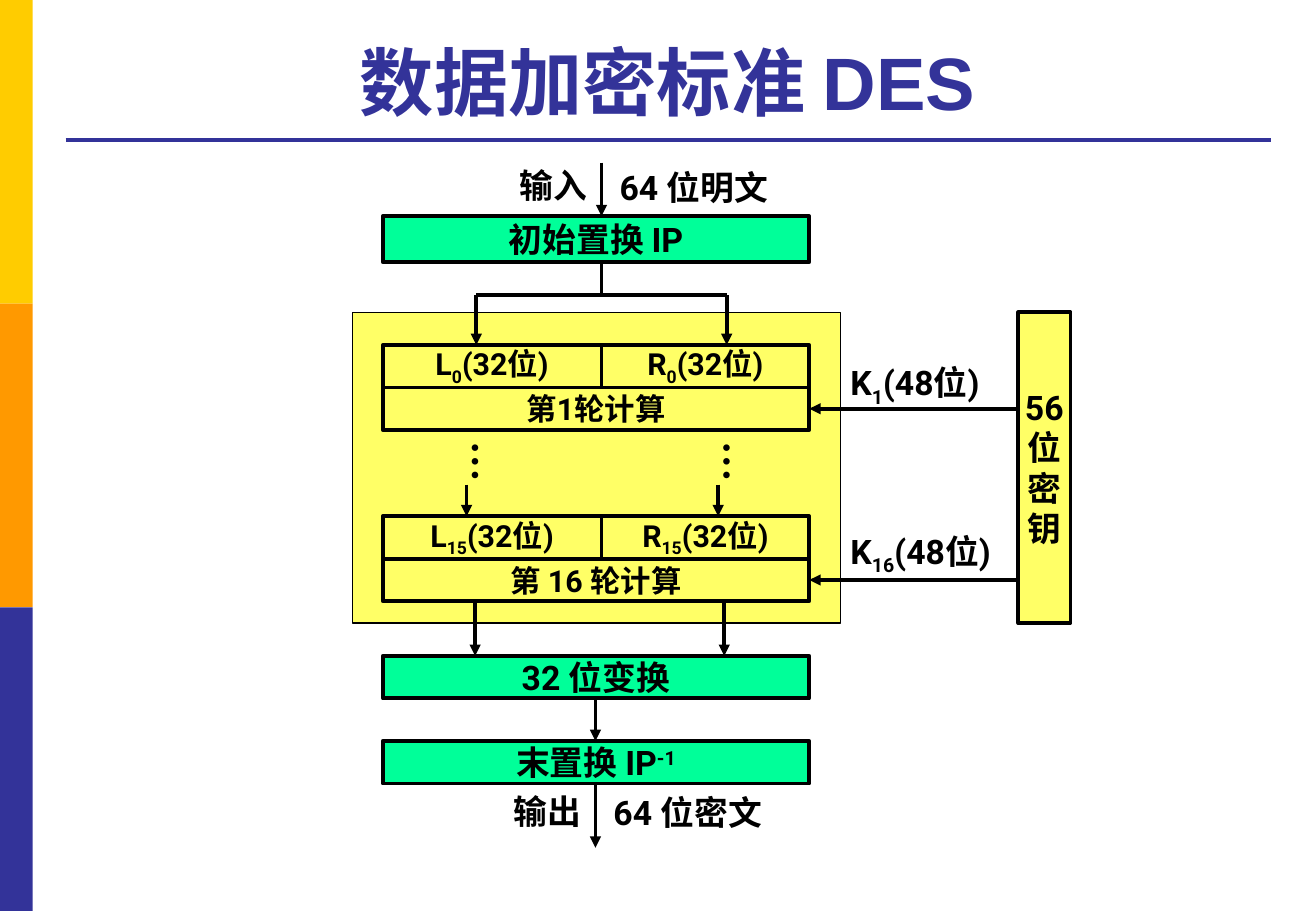
from lxml.etree import SubElement
from pptx import Presentation
from pptx.dml.color import RGBColor
from pptx.enum.shapes import MSO_CONNECTOR as CONNECTOR, MSO_SHAPE as SHAPE
from pptx.enum.text import MSO_ANCHOR as ANCHOR, MSO_AUTO_SIZE as AUTO, PP_ALIGN as ALIGN
from pptx.oxml.ns import qn
from pptx.util import Inches, Pt

COLORS = {
    "gold": "FFCC00",
    "orange": "FF9900",
    "navy": "333399",
    "yellow": "FFFF66",
    "green": "00FF99",
    "black": "000000",
}
SUB, SUPER = -25000, 30000
LEFT, SPLIT, RIGHT = 3.15, 4.95, 6.66
ROW = 0.35


def rgb(name):
    return RGBColor.from_string(COLORS[name])


def place(item, left, top, width, height):
    box = {"left": left, "top": top, "width": width, "height": height}
    for side, value in box.items():
        setattr(item, side, Inches(value))


def write(frame, paragraphs, size, align, font="Roboto", color="black"):
    style = {"size": Pt(size), "name": font, "bold": True}
    for index, pieces in enumerate(paragraphs):
        paragraph = frame.add_paragraph() if index else frame.paragraphs[0]
        paragraph.alignment = align
        for text, baseline in pieces:
            run = paragraph.add_run()
            run.text = text
            for attribute, value in style.items():
                setattr(run.font, attribute, value)
            run.font.color.rgb = rgb(color)
            if baseline:
                run._r.get_or_add_rPr().set("baseline", str(baseline))


def block(slide, at, fill=None, line=2.25, paragraphs=(), size=20):
    rect = slide.shapes.add_shape(SHAPE.RECTANGLE, *map(Inches, at))
    rect.shadow.inherit = False
    if fill:
        rect.fill.solid()
        rect.fill.fore_color.rgb = rgb(fill)
    else:
        rect.fill.background()
    if line:
        rect.line.width = Pt(line)
        rect.line.color.rgb = rgb("black")
    else:
        rect.line.fill.background()
    if paragraphs:
        frame = rect.text_frame
        frame.word_wrap = False
        frame.vertical_anchor = ANCHOR.MIDDLE
        write(frame, paragraphs, size, ALIGN.CENTER)


def label(slide, at, pieces):
    frame = slide.shapes.add_textbox(*map(Inches, at)).text_frame
    frame.word_wrap = False
    frame.auto_size = AUTO.SHAPE_TO_FIT_TEXT
    write(frame, [pieces], 20, ALIGN.LEFT)


def dots(slide, left):
    at = (left, 3.54, 0.62, 0.44)
    frame = slide.shapes.add_textbox(*map(Inches, at)).text_frame
    frame.word_wrap = True
    frame._txBody.bodyPr.set("vert", "eaVert")
    write(frame, [[("…", 0)]], 24, ALIGN.LEFT, "Times New Roman")
    frame.paragraphs[0].space_before = Pt(12)


def line(slide, start, end, arrow=True, color="black"):
    link = slide.shapes.add_connector(CONNECTOR.STRAIGHT, *map(Inches, start + end))
    link.line.width = Pt(2.25)
    link.line.color.rgb = rgb(color)
    if arrow:
        SubElement(link.line._get_or_add_ln(), qn("a:tailEnd"), type="triangle")
    SubElement(link._element.spPr, qn("a:effectLst"))


def heading(slide):
    for index, color in enumerate(("gold", "orange", "navy")):
        block(slide, (0, 2.5 * index, 0.27, 2.5), color, None)
    line(slide, (0.54, 1.15), (10.46, 1.15), False, "navy")
    title = slide.shapes.title
    place(title, 0.54, 0.21, 9.91, 0.87)
    title.text_frame.vertical_anchor = ANCHOR.BOTTOM
    title.text_frame.auto_size = AUTO.NONE
    write(title.text_frame, [[("数据加密标准 DES", 0)]], 44, ALIGN.CENTER, "Arial", "navy")


def encryption_round(slide, top, index, caption, key, key_top, key_width):
    halves = (("L", LEFT, SPLIT), ("R", SPLIT, RIGHT))
    for letter, left, right in halves:
        pieces = [(letter, 0), (index, SUB), ("(32位)", 0)]
        block(slide, (left, top, right - left, ROW), paragraphs=[pieces], size=18)
    block(slide, (LEFT, top + ROW, RIGHT - LEFT, ROW), paragraphs=[[(caption, 0)]], size=18)
    key_y = top + 1.5 * ROW
    line(slide, (8.38, key_y), (RIGHT, key_y))
    label(slide, (6.9, key_top, key_width, 0.46), [("K", 0), (key, SUB), ("(48位)", 0)])


def main():
    deck = Presentation()
    deck.slide_width, deck.slide_height = Inches(10.83), Inches(7.5)
    slide = deck.slides.add_slide(deck.slide_layouts[5])
    heading(slide)

    block(slide, (2.9, 2.57, 4.02, 2.56), "yellow", 0.75)
    secret_key = [[(text, 0)] for text in ("56", "位", "密", "钥")]
    block(slide, (8.38, 2.57, 0.43, 2.56), "yellow", paragraphs=secret_key)

    stages = (
        (1.78, 0.38, [("初始置换 IP", 0)]),
        (5.4, ROW, [("32 位变换", 0)]),
        (6.1, ROW, [("末置换 IP", 0), ("-1", SUPER)]),
    )
    for top, height, pieces in stages:
        block(slide, (LEFT, top, RIGHT - LEFT, height), "green", paragraphs=[pieces])

    encryption_round(slide, 2.84, "0", "第1轮计算", "1", 2.93, 1.43)
    encryption_round(slide, 4.25, "15", "第 16 轮计算", "16", 4.32, 1.55)

    line(slide, (SPLIT, 2.07 + 0.09), (SPLIT, 2.43), False)
    line(slide, (3.92, 2.43), (5.98, 2.43), False)
    verticals = (
        (SPLIT, 1.34, 1.78),
        (3.92, 2.43, 2.84),
        (5.98, 2.43, 2.84),
        (3.84, 3.99, 4.25),
        (5.91, 3.99, 4.25),
        (3.91, 4.96, 5.4),
        (5.96, 4.96, 5.4),
        (4.9, 5.75, 6.1),
        (4.9, 6.46, 6.98),
    )
    for x, top, bottom in verticals:
        line(slide, (x, top), (x, bottom))
    for left in (3.65, 5.72):
        dots(slide, left)

    label(slide, (4.18, 1.31, 0.78, 0.46), [("输入", 0)])
    label(slide, (5, 1.32, 1.49, 0.44), [("64 位明文", 0)])
    label(slide, (4.13, 6.46, 0.78, 0.46), [("输出", 0)])
    label(slide, (4.95, 6.47, 1.49, 0.44), [("64 位密文", 0)])
    deck.save("out.pptx")


if __name__ == "__main__":
    main()
